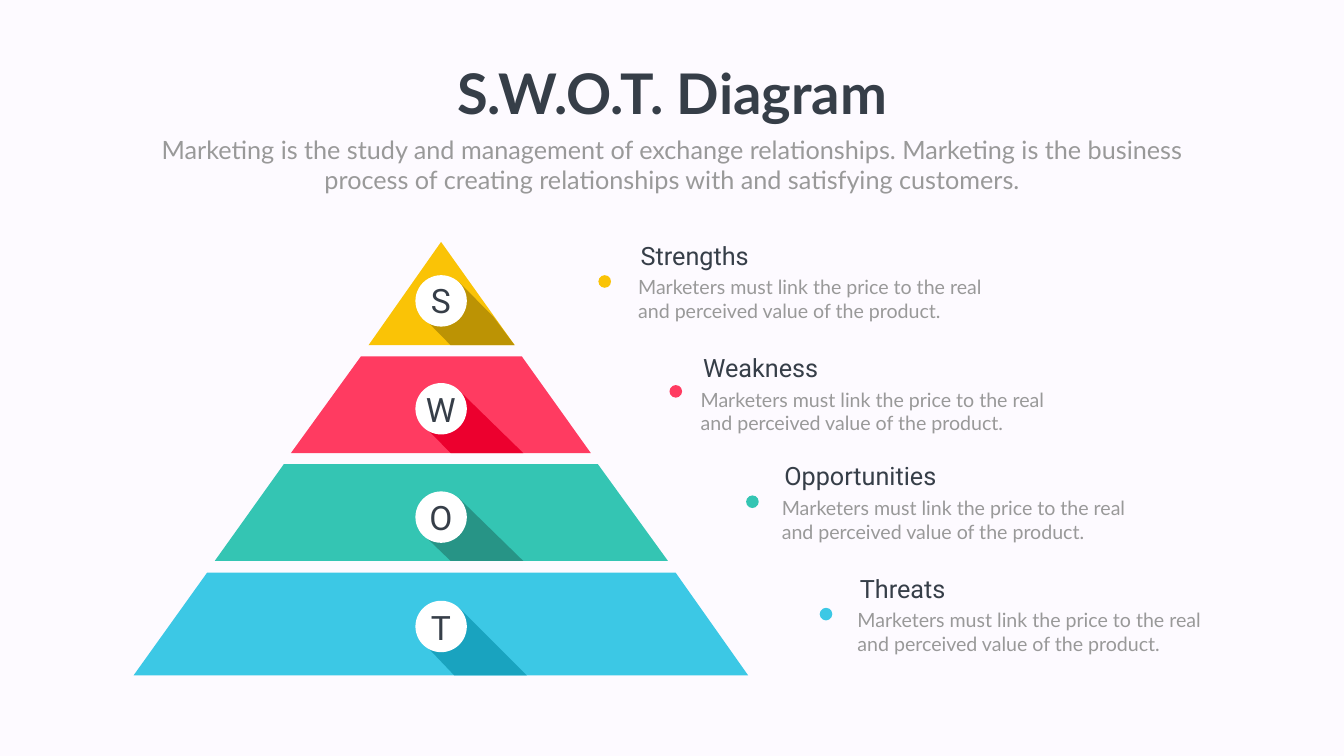
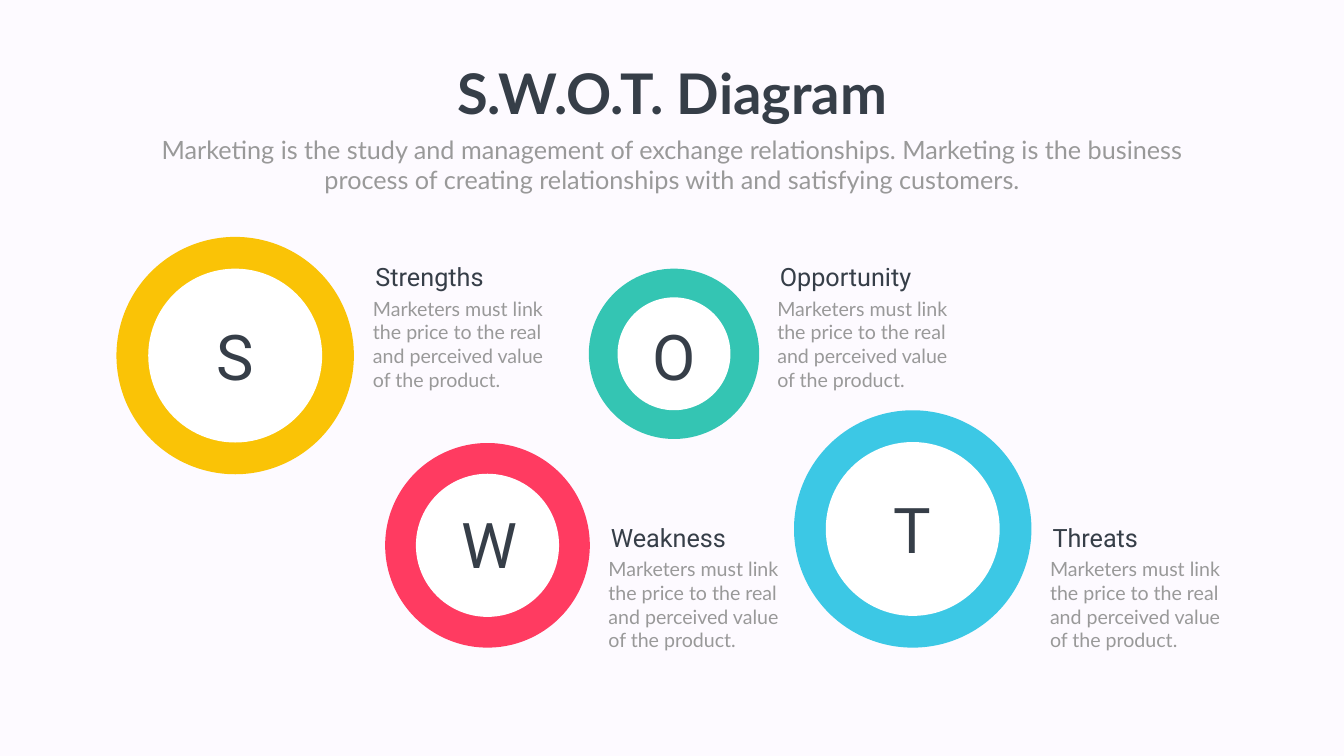
from typing import NamedTuple

from pptx import Presentation
from pptx.dml.color import RGBColor
from pptx.enum.shapes import MSO_SHAPE
from pptx.enum.text import MSO_AUTO_SIZE, PP_ALIGN
from pptx.slide import Slide
from pptx.util import Emu, Pt

EMU_PER_PX = 9144
PAGE_WIDTH, PAGE_HEIGHT = 2666, 1500

BACKGROUND = RGBColor(0xFD, 0xFA, 0xFF)
INK = RGBColor(0x36, 0x3E, 0x48)
GREY = RGBColor(0x99, 0x99, 0x99)
WHITE = RGBColor(0xFF, 0xFF, 0xFF)
YELLOW = RGBColor(0xFA, 0xC3, 0x06)
RED = RGBColor(0xFF, 0x3B, 0x61)
TEAL = RGBColor(0x34, 0xC5, 0xB3)
BLUE = RGBColor(0x3C, 0xC8, 0xE5)
DARK_YELLOW = RGBColor(0xBC, 0x93, 0x04)
DARK_RED = RGBColor(0xEC, 0x00, 0x2E)
DARK_TEAL = RGBColor(0x27, 0x94, 0x86)
DARK_BLUE = RGBColor(0x19, 0xA3, 0xBF)

TITLE = "S.W.O.T. Diagram"
SUBTITLE = (
    "Marketing is the study and management of exchange relationships. "
    "Marketing is the business process of creating relationships with "
    "and satisfying customers."
)
NOTE = "Marketers must link the price to the real and perceived value of the product."

APEX = 875
DISC_SIZE = 102
DOT_SIZE = 25
LETTER_WIDTH = 167

Point = tuple[int, int]


class Style(NamedTuple):
    font: str
    size: int
    color: RGBColor
    align: PP_ALIGN = PP_ALIGN.LEFT
    bold: bool = False
    wrap: bool = True


TITLE_STYLE = Style("Lato", 80, INK, PP_ALIGN.CENTER, True, False)
SUBTITLE_STYLE = Style("Lato", 36, GREY, PP_ALIGN.CENTER)
HEADING_STYLE = Style("Roboto", 36, INK)
NOTE_STYLE = Style("Lato", 28, GREY)
SMALL_LETTER_STYLE = Style("Roboto", 48, INK, PP_ALIGN.CENTER)
LARGE_LETTER_STYLE = Style("Roboto", 90, INK, PP_ALIGN.CENTER)


class Caption(NamedTuple):
    heading: str
    left: int
    top: int


class Level(NamedTuple):
    color: RGBColor
    shade: RGBColor
    band: list[Point]
    shadow: list[Point]
    disc_top: int
    letter_top: int
    dot: Point
    caption: Caption


class Ring(NamedTuple):
    color: RGBColor
    left: int
    top: int
    size: int
    border: int
    letter: Point
    caption: Caption


LEVELS = [
    Level(YELLOW, DARK_YELLOW,
          [(APEX, 480), (731, 685), (1021, 685)],
          [(911, 560), (841, 631), (894, 685), (1021, 685), (979, 629)],
          546, 551, (1187, 546), Caption("Strengths", 1256, 541)),
    Level(RED, DARK_RED,
          [(1035, 707), (716, 707), (577, 899), (1172, 899)],
          [(911, 775), (841, 845), (894, 899), (1038, 899)],
          760, 767, (1328, 764), Caption("Weakness", 1380, 764)),
    Level(TEAL, DARK_TEAL,
          [(1186, 921), (563, 921), (426, 1113), (1325, 1113)],
          [(911, 989), (841, 1062), (894, 1113), (1038, 1113)],
          975, 981, (1480, 983), Caption("Opportunities", 1541, 979)),
    Level(BLUE, DARK_BLUE,
          [(1340, 1136), (411, 1136), (265, 1340), (1484, 1340)],
          [(911, 1206), (841, 1277), (901, 1340), (1045, 1340)],
          1192, 1199, (1626, 1206), Caption("Threats", 1691, 1202)),
]

RINGS = [
    Ring(YELLOW, 231, 470, 471, 63, (383, 625), Caption("Strengths", 730, 584)),
    Ring(RED, 764, 879, 406, 61, (887, 999), Caption("Weakness", 1197, 1101)),
    Ring(TEAL, 1168, 533, 338, 57, (1253, 625), Caption("Opportunity", 1532, 584)),
    Ring(BLUE, 1575, 814, 471, 63, (1727, 969), Caption("Threats", 2073, 1101)),
]


def px(value: int) -> Emu:
    return Emu(value * EMU_PER_PX)


def paint(shape, color: RGBColor) -> None:
    shape.shadow.inherit = False
    shape.fill.solid()
    shape.fill.fore_color.rgb = color
    shape.line.fill.background()


def add_circle(page: Slide, left: int, top: int, size: int, color: RGBColor) -> None:
    circle = page.shapes.add_shape(
        MSO_SHAPE.OVAL, px(left), px(top), px(size), px(size))
    paint(circle, color)


def add_polygon(page: Slide, points: list[Point], color: RGBColor) -> None:
    builder = page.shapes.build_freeform(*points[0], scale=EMU_PER_PX)
    builder.add_line_segments(points[1:], close=True)
    paint(builder.convert_to_shape(), color)


def add_text(page: Slide, text: str, left: int, top: int, width: int,
             height: int, style: Style) -> None:
    box = page.shapes.add_textbox(px(left), px(top), px(width), px(height))
    frame = box.text_frame
    frame.word_wrap = style.wrap
    frame.auto_size = MSO_AUTO_SIZE.SHAPE_TO_FIT_TEXT
    para = frame.paragraphs[0]
    para.text = text
    para.alignment = style.align
    para.font.name = style.font
    para.font.size = Pt(style.size)
    para.font.bold = style.bold
    para.font.color.rgb = style.color


def add_caption(page: Slide, caption: Caption, width: int, height: int) -> None:
    heading, left, top = caption
    add_text(page, NOTE, left, top, width, height, NOTE_STYLE)
    add_text(page, heading, left + 5, top - 70, 357, 71, HEADING_STYLE)


def add_page(deck) -> Slide:
    page = deck.slides.add_slide(deck.slide_layouts[6])
    page.background.fill.solid()
    page.background.fill.fore_color.rgb = BACKGROUND
    add_text(page, TITLE, 880, 112, 907, 145, TITLE_STYLE)
    add_text(page, SUBTITLE, 292, 261, 2082, 131, SUBTITLE_STYLE)
    return page


def add_level(page: Slide, level: Level) -> None:
    add_polygon(page, level.band, level.color)
    add_polygon(page, level.shadow, level.shade)
    add_circle(page, APEX - DISC_SIZE // 2, level.disc_top, DISC_SIZE, WHITE)
    add_text(page, level.caption.heading[0], APEX - LETTER_WIDTH // 2 - 1,
             level.letter_top, LETTER_WIDTH, 91, SMALL_LETTER_STYLE)
    add_circle(page, *level.dot, DOT_SIZE, level.color)
    add_caption(page, level.caption, 710, 104)


def add_ring(page: Slide, ring: Ring) -> None:
    add_circle(page, ring.left, ring.top, ring.size, ring.color)
    add_circle(page, ring.left + ring.border, ring.top + ring.border,
               ring.size - 2 * ring.border, WHITE)
    add_text(page, ring.caption.heading[0], *ring.letter,
             LETTER_WIDTH, 162, LARGE_LETTER_STYLE)
    add_caption(page, ring.caption, 362, 199)


def main() -> None:
    deck = Presentation()
    deck.slide_width = px(PAGE_WIDTH)
    deck.slide_height = px(PAGE_HEIGHT)

    pyramid_page = add_page(deck)
    for level in LEVELS:
        add_level(pyramid_page, level)

    rings_page = add_page(deck)
    for ring in RINGS:
        add_ring(rings_page, ring)

    deck.save("out.pptx")


if __name__ == "__main__":
    main()
